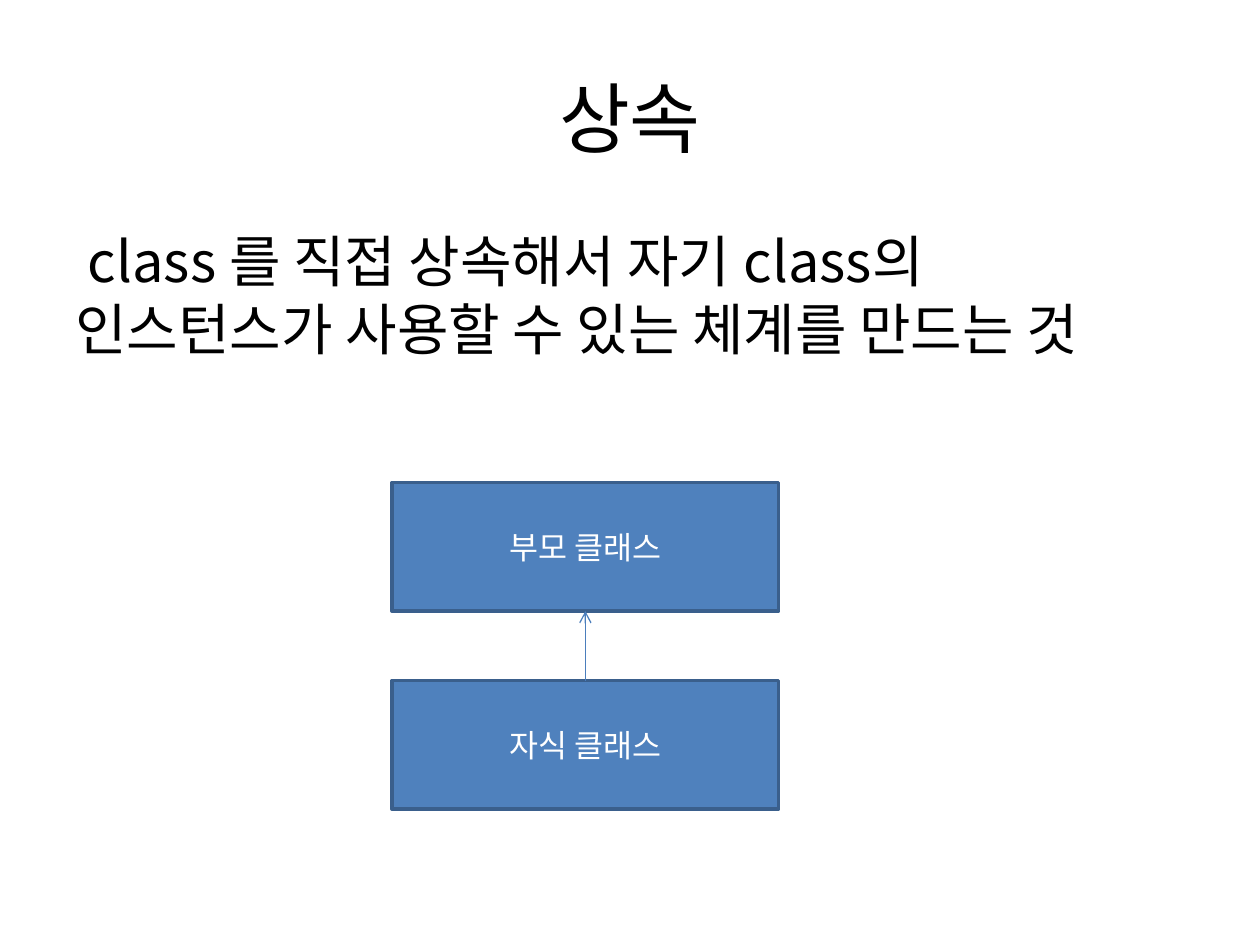
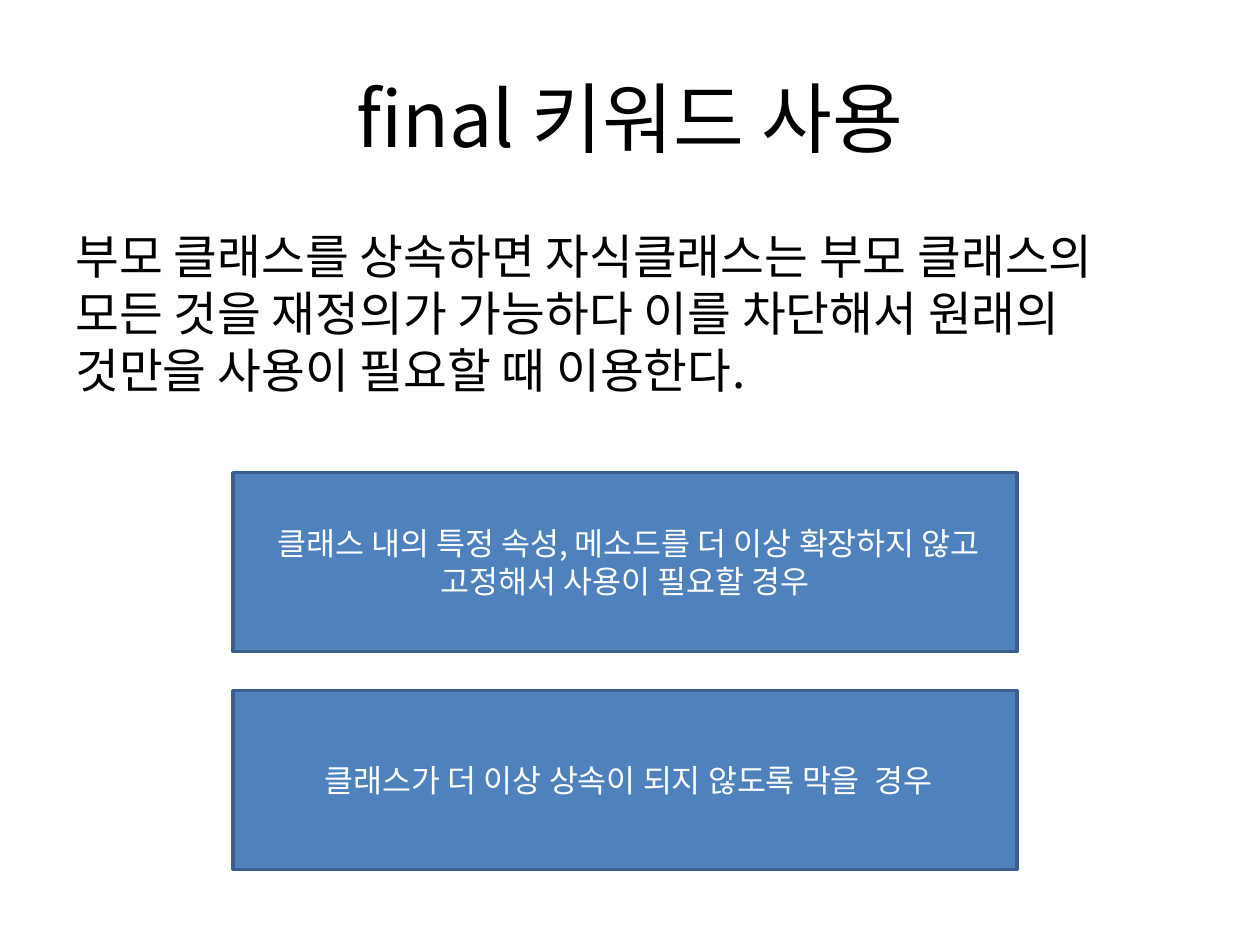
import pptx
import pptx.util
import pptx.dml.color
import pptx.enum.shapes
import pptx.enum.text
import pptx.oxml
import pptx.oxml.ns

Cm, Pt = pptx.util.Cm, pptx.util.Pt
RGBColor = pptx.dml.color.RGBColor
PP_ALIGN, MSO_ANCHOR = pptx.enum.text.PP_ALIGN, pptx.enum.text.MSO_ANCHOR

FONT = "Noto Sans CJK KR"
BLACK = RGBColor(0x00, 0x00, 0x00)
WHITE = RGBColor(0xFF, 0xFF, 0xFF)
BLUE = RGBColor(0x4F, 0x81, 0xBD)
BORDER = RGBColor(0x3A, 0x5F, 0x8C)
ARROW = RGBColor(0x4B, 0x7E, 0xBC)

# Boxes are left, top, width, height in centimetres.
TITLE_BOX = (1.27, 0.76, 22.86, 3.18)
BODY_BOX = (1.27, 4.45, 22.43, 4.09)


def add_child(parent, tag, **attrs):
    """Append a DrawingML element with the given attributes."""
    child = pptx.oxml.ns.qn(tag)
    child = parent.makeelement(child, attrs)
    parent.append(child)


def write_text(shape, text, size=18, color=BLACK, align=PP_ALIGN.CENTER,
               anchor=MSO_ANCHOR.MIDDLE, before=0):
    """Write one formatted paragraph into a shape."""
    tf = shape.text_frame
    tf.word_wrap = True
    tf.vertical_anchor = anchor
    p = tf.paragraphs[0]
    p.alignment = align
    p.space_before = Pt(before)
    r = p.add_run()
    r.text = text
    r.font.size = Pt(size)
    r.font.name = FONT
    r.font.color.rgb = color
    add_child(r.font._element, "a:ea", typeface=FONT)


def add_text(s, box, text, **style):
    """Add a text box that fills the given box."""
    write_text(s.shapes.add_textbox(*map(Cm, box)), text, **style)


def add_header(s, title, body, body_size):
    """Add the centred title and the explanation under it."""
    add_text(s, TITLE_BOX, title, size=44)
    add_text(s, BODY_BOX, body, size=body_size, align=PP_ALIGN.LEFT,
             anchor=MSO_ANCHOR.TOP, before=body_size * 0.2)


def add_stack(s, box, labels, gap):
    """Fill a box with equal blue rectangles, one above the other."""
    left, top, width, height = box
    row = (height - gap * (len(labels) - 1)) / len(labels)
    rects = []
    for i, label in enumerate(labels):
        place = map(Cm, (left, top + i * (row + gap), width, row))
        sp = s.shapes.add_shape(pptx.enum.shapes.MSO_SHAPE.RECTANGLE, *place)
        sp.shadow.inherit = False
        sp.fill.solid()
        sp.fill.fore_color.rgb = BLUE
        sp.line.color.rgb = BORDER
        sp.line.width = Pt(2)
        write_text(sp, label, color=WHITE)
        rects.append(sp)
    return rects


def add_arrow_up(s, lower, upper):
    """Join the top of the lower shape to the bottom of the upper one."""
    line = s.shapes.add_connector(
        pptx.enum.shapes.MSO_CONNECTOR.STRAIGHT, 0, 0, 0, 0)
    line.begin_connect(lower, 0)
    line.end_connect(upper, 2)
    line.line.color.rgb = ARROW
    line.line.width = Pt(0.75)
    add_child(line.line._get_or_add_ln(), "a:tailEnd", type="arrow")
    add_child(line._element.spPr, "a:effectLst")


def build_inheritance(s):
    """Build the slide on inheritance with its class diagram."""
    add_header(s, "상속", " class 를 직접 상속해서 자기 class의 "
               "인스턴스가 사용할 수 있는 체계를 만드는 것", 32)
    parent, child = add_stack(s, (7.9, 9.73, 7.8, 6.58),
                              ["부모 클래스", "자식 클래스"], 1.4)
    add_arrow_up(s, child, parent)


def build_final(s):
    """Build the slide on the final keyword with its two cases."""
    add_header(s, " final 키워드 사용 ",
               "부모 클래스를 상속하면 자식클래스는 부모 클래스의 모든 것을 "
               "재정의가 가능하다 이를 차단해서 원래의 것만을 사용이 "
               "필요할 때 이용한다.", 27.2)
    cases = [" 클래스 내의 특정 속성, 메소드를 더 이상 확장하지 않고 "
             "고정해서 사용이 필요할 경우",
             " 클래스가 더 이상 상속이 되지 않도록 막을  경우"]
    add_stack(s, (4.7, 9.53, 15.8, 8), cases, 0.78)


prs = pptx.Presentation()
prs.slide_width, prs.slide_height = Cm(25.4), Cm(19.05)
for build in (build_inheritance, build_final):
    build(prs.slides.add_slide(prs.slide_layouts[6]))
prs.save("out.pptx")
